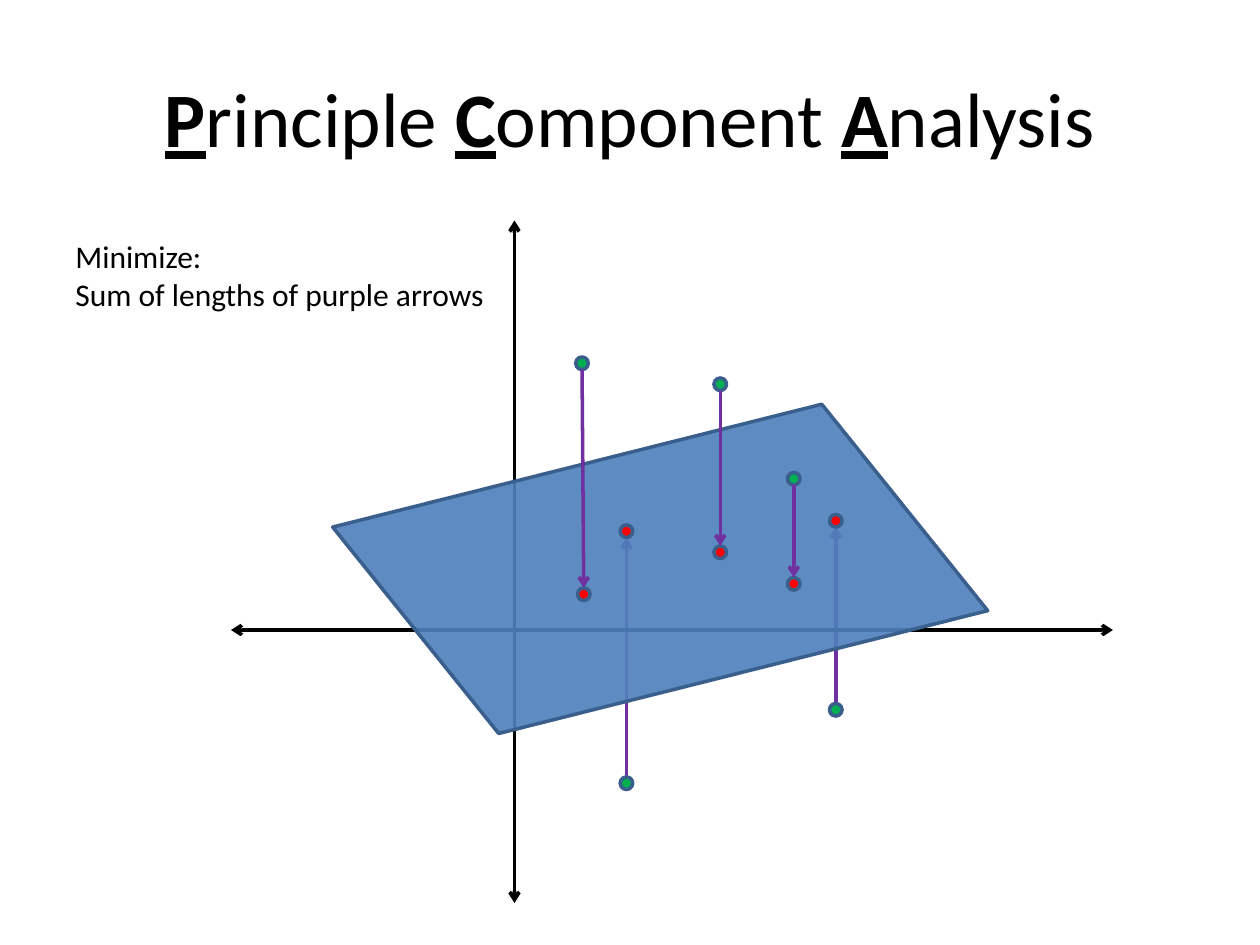
from lxml import etree
from pptx import Presentation
from pptx.dml.color import RGBColor
from pptx.enum.shapes import MSO_CONNECTOR, MSO_SHAPE
from pptx.enum.text import MSO_ANCHOR, MSO_AUTO_SIZE, PP_ALIGN
from pptx.oxml.ns import qn
from pptx.util import Pt

# Content: title runs as (text, emphasised)
TITLE = [("P", True), ("rinciple ", False), ("C", True),
         ("omponent ", False), ("A", True), ("nalysis", False)]
GOAL = ["Minimize:", "Sum of lengths of purple arrows"]

# Centres of each data point and of its projection on the plane
POINTS_BELOW = [((358, 447.6), (358, 303.6)),
                ((477.6, 405.6), (477.6, 297.6))]
POINTS_ABOVE = [((332.6, 207.6), (333.6, 339.6)),
                ((411.6, 219.6), (411.6, 315.6)),
                ((453.6, 273.6), (453.6, 333.6))]
AXES = [((294, 126), (294, 516)), ((132, 360), (636, 360))]

FONT = "Calibri"
BLACK, PURPLE, OUTLINE = "000000", "7030A0", "3A5F8C"
BLUE, RED, GREEN = "4F81BD", "FF0000", "00B050"
RADIUS = 3.6
LINE_WIDTH = Pt(2)


def color(value):
    return RGBColor.from_string(value)


def add_arrow(slide, start, end, line_color, both_ends=False):
    arrow = slide.shapes.add_connector(
        MSO_CONNECTOR.STRAIGHT, *(Pt(v) for v in (*start, *end)))
    arrow.line.color.rgb = color(line_color)
    arrow.line.width = LINE_WIDTH
    line = arrow.line._get_or_add_ln()
    for tag in ["a:headEnd", "a:tailEnd"] if both_ends else ["a:tailEnd"]:
        etree.SubElement(line, qn(tag), type="arrow")
    etree.SubElement(arrow._element.spPr, qn("a:effectLst"))


def add_projection(slide, point, projection):
    """Arrow from the rim of a point to the rim of its projection."""
    (x1, y1), (x2, y2) = point, projection
    step = RADIUS if y2 > y1 else -RADIUS
    add_arrow(slide, (x1, y1 + step), (x2, y2 - step), PURPLE)


def add_filled(slide, kind, left, top, width, height, fill):
    shape = slide.shapes.add_shape(
        kind, Pt(left), Pt(top), Pt(width), Pt(height))
    shape.shadow.inherit = False
    shape.fill.solid()
    shape.fill.fore_color.rgb = color(fill)
    shape.line.color.rgb = color(OUTLINE)
    shape.line.width = LINE_WIDTH
    return shape


def add_dot(slide, center, fill):
    x, y = center
    add_filled(slide, MSO_SHAPE.OVAL, x - RADIUS, y - RADIUS,
               2 * RADIUS, 2 * RADIUS, fill)


def add_plane(slide):
    plane = add_filled(slide, MSO_SHAPE.PARALLELOGRAM,
                       201.6, 256.3, 351.4, 137.5, BLUE)
    plane.adjustments[0] = 0.46
    plane.rotation = 345.9
    plane._element.spPr.find(qn("a:xfrm")).set("flipH", "1")
    fill = plane._element.spPr.find(qn("a:solidFill"))
    etree.SubElement(fill[0], qn("a:alpha"), val="91000")


def format_font(font, size):
    font.name = FONT
    font.size = Pt(size)
    font.color.rgb = color(BLACK)


def add_title(slide):
    frame = slide.shapes.add_textbox(
        Pt(36), Pt(21.6), Pt(648), Pt(90)).text_frame
    frame.word_wrap = True
    frame.vertical_anchor = MSO_ANCHOR.MIDDLE
    paragraph = frame.paragraphs[0]
    paragraph.alignment = PP_ALIGN.CENTER
    for text, emphasised in TITLE:
        run = paragraph.add_run()
        run.text = text
        format_font(run.font, 44)
        run.font.bold = run.font.underline = emphasised


def add_goal(slide):
    frame = slide.shapes.add_textbox(
        Pt(36), Pt(132), Pt(250.6), Pt(51)).text_frame
    frame.word_wrap = False
    frame.auto_size = MSO_AUTO_SIZE.SHAPE_TO_FIT_TEXT
    frame.text = "\n".join(GOAL)
    for paragraph in frame.paragraphs:
        format_font(paragraph.runs[0].font, 18)


def main():
    presentation = Presentation()
    presentation.slide_width, presentation.slide_height = Pt(720), Pt(540)
    slide = presentation.slides.add_slide(presentation.slide_layouts[6])

    # Behind the plane
    for pair in POINTS_BELOW:
        add_projection(slide, *pair)
    for start, end in AXES:
        add_arrow(slide, start, end, BLACK, both_ends=True)
    add_plane(slide)

    # In front of the plane
    add_title(slide)
    for point, projection in POINTS_BELOW + POINTS_ABOVE:
        add_dot(slide, projection, RED)
        add_dot(slide, point, GREEN)
    for pair in POINTS_ABOVE:
        add_projection(slide, *pair)
    add_goal(slide)

    presentation.save("out.pptx")


if __name__ == "__main__":
    main()
